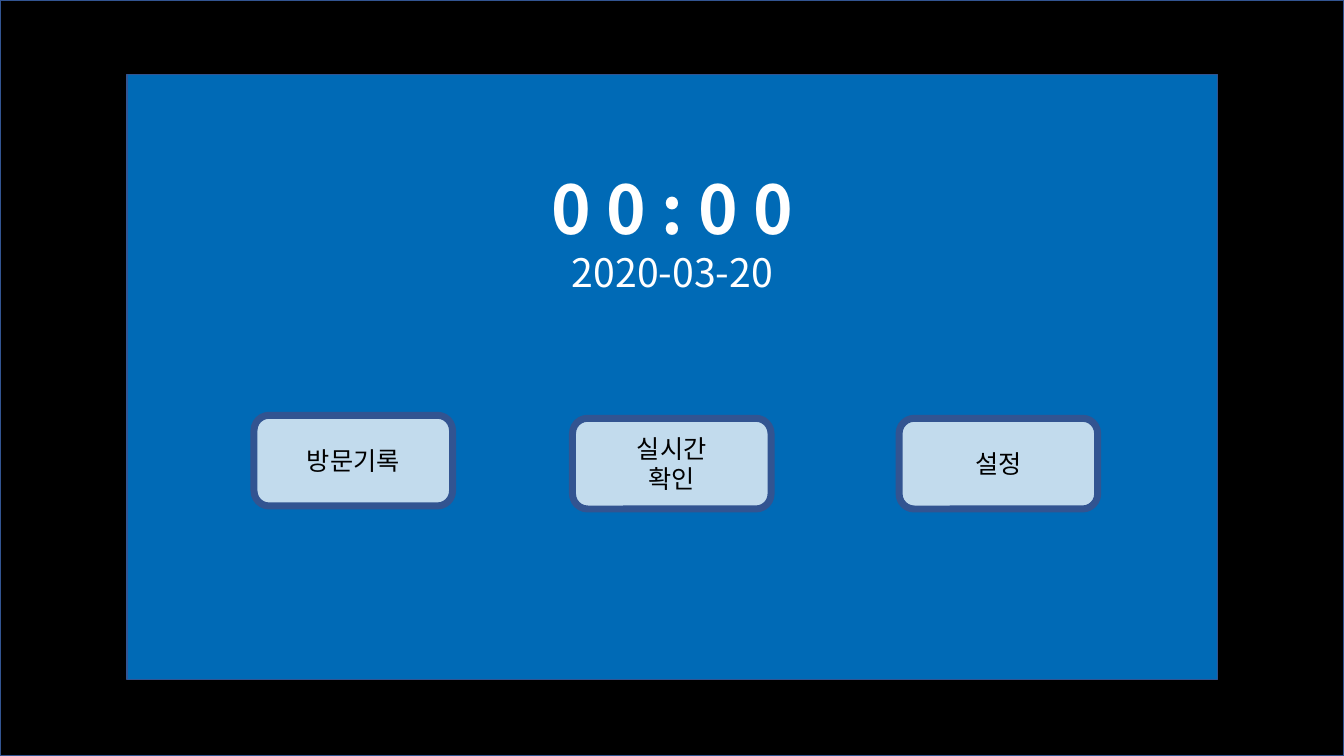
from lxml import etree
from pptx import Presentation
from pptx.dml.color import RGBColor
from pptx.enum.shapes import MSO_SHAPE
from pptx.enum.text import MSO_ANCHOR, MSO_AUTO_SIZE, PP_ALIGN
from pptx.oxml.ns import qn
from pptx.util import Pt

RECTANGLE = MSO_SHAPE.RECTANGLE
ROUNDED = MSO_SHAPE.ROUNDED_RECTANGLE
MIDDLE = MSO_ANCHOR.MIDDLE
GROW = MSO_AUTO_SIZE.SHAPE_TO_FIT_TEXT
CENTER = PP_ALIGN.CENTER

BLACK = RGBColor(0x00, 0x00, 0x00)
WHITE = RGBColor(0xFF, 0xFF, 0xFF)
BLUE = RGBColor(0x00, 0x70, 0xC0)
OUTLINE = RGBColor(0x32, 0x54, 0x91)
FONT = "Noto Sans CJK KR"

PAGE_WIDTH, PAGE_HEIGHT = 960, 540
BUTTON_WIDTH, BUTTON_HEIGHT = 141.84, 64.8
BUTTONS = [
    (90.72, 243.36, ["방문기록"]),
    (318.24, 245.52, ["실시간", "확인"]),
    (551.52, 245.52, ["설정"]),
]


def add_panel(page, kind, box, color, line_width, opacity=100):
    panel = page.shapes.add_shape(kind, *map(Pt, box))
    panel.shadow.inherit = False
    panel.fill.solid()
    panel.fill.fore_color.rgb = color
    if opacity < 100:
        fill_color = panel._element.spPr.find(qn("a:solidFill"))[0]
        etree.SubElement(fill_color, qn("a:alpha"), val=str(opacity * 1000))
    panel.line.color.rgb = OUTLINE
    panel.line.width = Pt(line_width)
    return panel


def write_lines(frame, lines, color):
    for index, (text, size, bold) in enumerate(lines):
        para = frame.add_paragraph() if index else frame.paragraphs[0]
        para.text = text
        para.alignment = CENTER
        para.font.name = FONT
        para.font.size = Pt(size)
        para.font.bold = bold
        para.font.color.rgb = color
        properties = para._p.pPr.find(qn("a:defRPr"))
        etree.SubElement(properties, qn("a:ea"), typeface=FONT)


def add_clock(page, box):
    clock = page.shapes.add_textbox(*map(Pt, box))
    frame = clock.text_frame
    frame.word_wrap = True
    frame.auto_size = GROW
    write_lines(frame, [("0 0 : 0 0", 48, True), ("2020-03-20", 28, False)], WHITE)


def add_button(page, box, labels):
    button = add_panel(page, ROUNDED, box, WHITE, 5, 76)
    button.text_frame.vertical_anchor = MIDDLE
    write_lines(button.text_frame, [(label, 18, False) for label in labels], BLACK)


def add_home_screen(page, box):
    left, top, width, height = box
    add_panel(page, RECTANGLE, box, BLUE, 1, 95)
    add_clock(page, (left + 241.2, top + 62.64, 296.64, 99.36))
    for offset_x, offset_y, labels in BUTTONS:
        button_box = (left + offset_x, top + offset_y, BUTTON_WIDTH, BUTTON_HEIGHT)
        add_button(page, button_box, labels)


def main():
    deck = Presentation()
    deck.slide_width, deck.slide_height = Pt(PAGE_WIDTH), Pt(PAGE_HEIGHT)
    page = deck.slides.add_slide(deck.slide_layouts[6])
    add_panel(page, RECTANGLE, (0, 0, PAGE_WIDTH, PAGE_HEIGHT), BLACK, 1)
    add_home_screen(page, (90.72, 53.28, 779.04, 432))
    deck.save("out.pptx")


if __name__ == "__main__":
    main()
